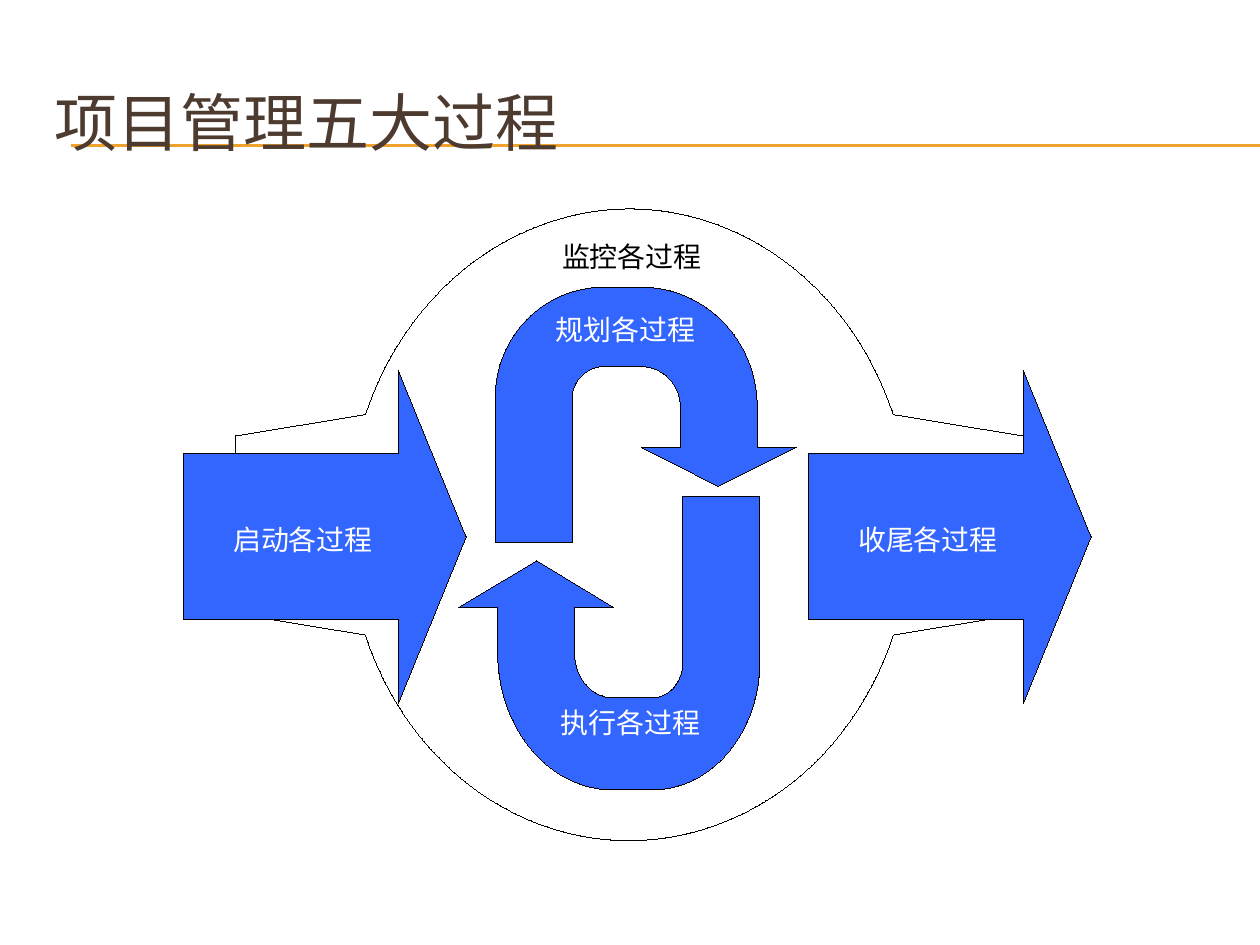
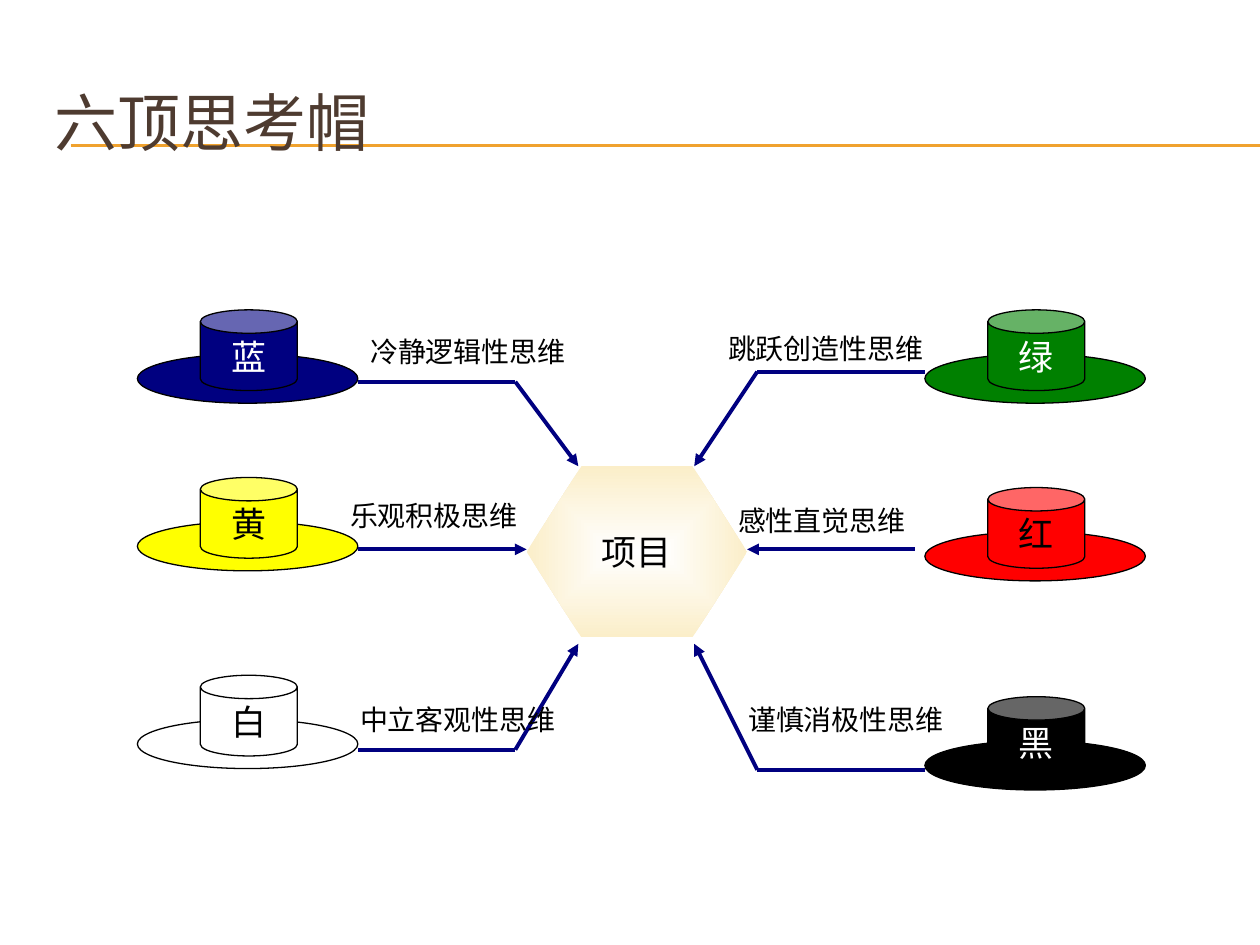
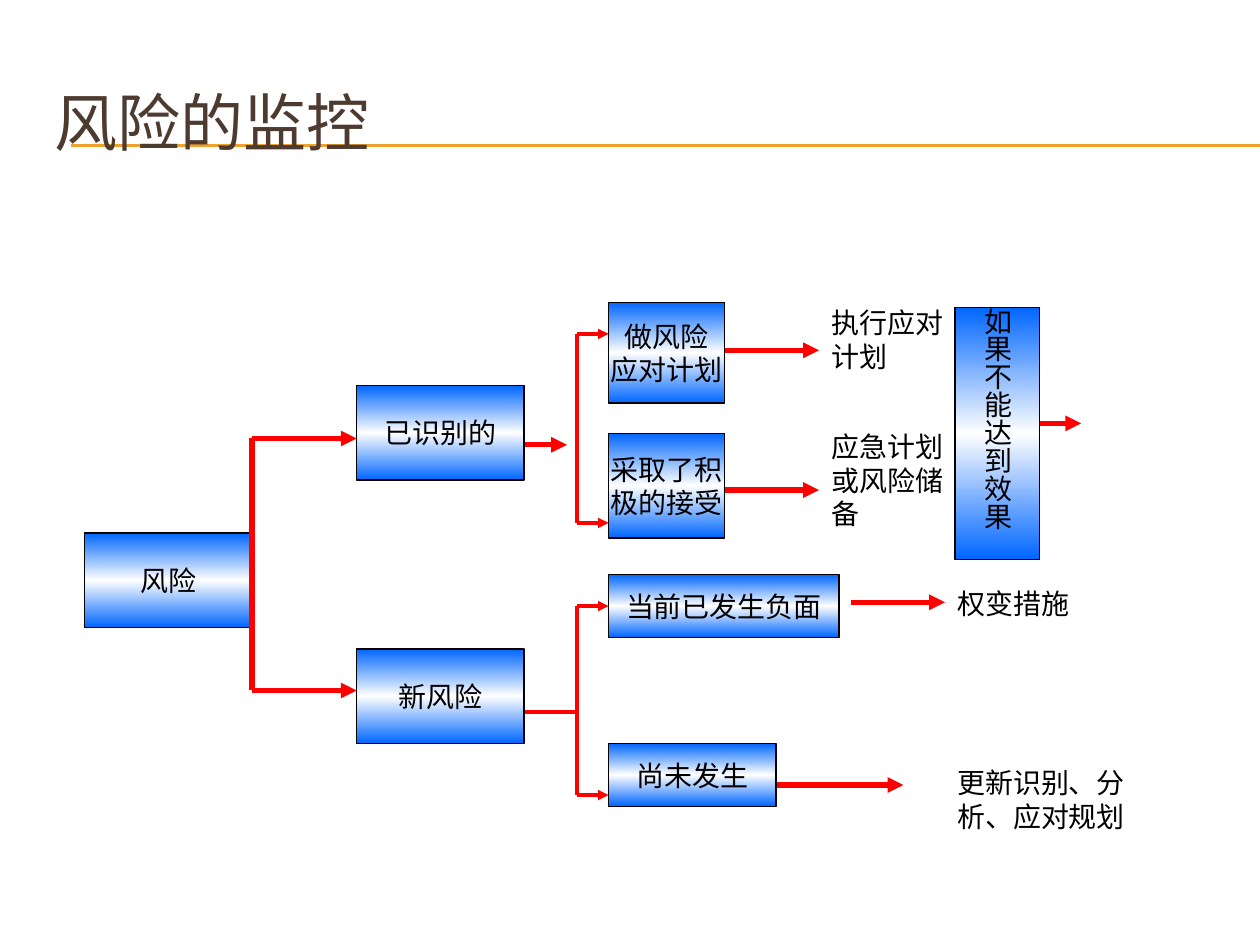
import pptx
import pptx.dml.color
import pptx.enum.shapes
import pptx.enum.text
import pptx.oxml
import pptx.oxml.ns
import pptx.util

WIDTH, HEIGHT = pptx.util.Inches(10), pptx.util.Inches(7.5)
CELL = WIDTH / 10  # square grid of 10 columns and 7.5 rows
TITLE_LAYOUT = 5

BROWN, ORANGE = "4E3B30", "F0A22E"
BLACK, WHITE = "000000", "FFFFFF"
BLUE, NAVY, RED = "3366FF", "000080", "FF0000"

SHAPES = pptx.enum.shapes.MSO_SHAPE
ALIGN = pptx.enum.text.PP_ALIGN
ANCHOR = pptx.enum.text.MSO_ANCHOR
qn = pptx.oxml.ns.qn
DRAWING = pptx.oxml.ns.nsdecls("a")


# Basic helpers
def colour(hex_text):
    return pptx.dml.color.RGBColor.from_string(hex_text)


def cells(*values):
    return [round(value * CELL) for value in values]


def write(box, text, size=16, font="Arial", ink=BLACK, align=ALIGN.CENTER,
          anchor=ANCHOR.MIDDLE, wrap=True, margins=(0, 0)):
    """Fill a box with text, one paragraph for each line."""
    frame = box.text_frame
    frame.auto_size = pptx.enum.text.MSO_AUTO_SIZE.NONE
    frame.word_wrap = wrap
    frame.vertical_anchor = anchor
    frame.margin_left = frame.margin_right = cells(margins[0])[0]
    frame.margin_top = frame.margin_bottom = cells(margins[1])[0]
    for index, line in enumerate(text.split("\n")):
        para = frame.add_paragraph() if index else frame.paragraphs[0]
        para.alignment = align
        span = para.add_run()
        span.text = line
        span.font.size = pptx.util.Pt(size)
        span.font.name = font
        span.font.color.rgb = colour(ink)
    # Chinese text takes its typeface from the East Asian setting
    for latin in list(box.element.iter(qn("a:latin"))):
        latin.addnext(pptx.oxml.parse_xml(f'<a:ea {DRAWING} typeface="{font}"/>'))


def label(page, text, left, top, width, height, **style):
    box = page.shapes.add_textbox(*cells(left, top, width, height))
    write(box, text, anchor=ANCHOR.TOP, **style)


def paint(shape, fill=None, edge=None, weight=0.75):
    shape.shadow.inherit = False
    if fill:
        shape.fill.solid()
        shape.fill.fore_color.rgb = colour(fill)
    else:
        shape.fill.background()
    if edge:
        shape.line.color.rgb = colour(edge)
        # A hairline needs its zero width written out
        shape.element.spPr.find(qn("a:ln")).set("w", str(pptx.util.Pt(weight)))
    else:
        shape.line.fill.background()


def preset(page, kind, left, top, width, height, text="", fill=None, edge=BLACK,
           weight=0.75, adjust=(), **style):
    shape = page.shapes.add_shape(kind, *cells(left, top, width, height))
    for index, value in enumerate(adjust):
        shape.adjustments[index] = value
    paint(shape, fill, edge, weight)
    if text:
        write(shape, text, **style)
    return shape


def gradient(shape, stops, direction):
    """Replace the empty fill of a shape with a gradient."""
    marks = "".join(f'<a:gs pos="{share * 1000}"><a:srgbClr val="{tone}"/></a:gs>'
                    for share, tone in stops)
    fill = pptx.oxml.parse_xml(f'<a:gradFill {DRAWING} rotWithShape="1">'
                               f'<a:gsLst>{marks}</a:gsLst>{direction}</a:gradFill>')
    properties = shape.element.spPr
    properties.replace(properties.find(qn("a:noFill")), fill)


def connect(page, start, end, ink, weight, arrow=False):
    line = page.shapes.add_connector(
        pptx.enum.shapes.MSO_CONNECTOR.STRAIGHT, *cells(*start, *end))
    line.line.color.rgb = colour(ink)
    line.line.width = pptx.util.Pt(weight)
    properties = line.element.spPr
    if arrow:
        properties.find(qn("a:ln")).append(
            pptx.oxml.parse_xml(f'<a:tailEnd {DRAWING} type="triangle"/>'))
    properties.append(pptx.oxml.parse_xml(f'<a:effectLst {DRAWING}/>'))
    return line


def route(page, points, ink, weight):
    """Join points with lines; the last one carries an arrowhead."""
    for index in range(len(points) - 1):
        connect(page, points[index], points[index + 1], ink, weight,
                arrow=index == len(points) - 2)


def fork(page, left, right, top, bottom, weight):
    """Draw a trunk with an arrow at each end and return both arrows."""
    connect(page, (left, top), (left, bottom), RED, weight)
    return [connect(page, (left, row), (right, row), RED, weight, arrow=True)
            for row in (top, bottom)]


def trace(steps, pieces=24):
    """Turn points and cubic curves (six numbers) into a list of points."""
    points = []
    for step in steps:
        if len(step) == 2:
            points.append(step)
            continue
        corners = [points[-1], step[:2], step[2:4], step[4:]]
        for piece in range(1, pieces + 1):
            t = piece / pieces
            shares = ((1 - t) ** 3, 3 * t * (1 - t) ** 2, 3 * t * t * (1 - t), t ** 3)
            points.append(tuple(sum(share * corner[axis]
                                    for share, corner in zip(shares, corners))
                                for axis in (0, 1)))
    return points


def outline(page, steps, fill):
    """Build a closed outline: its bounds come from the trace, its path from the steps."""
    corners = [cells(*point) for point in trace(steps)]
    builder = page.shapes.build_freeform(*corners[0], scale=1.0)
    builder.add_line_segments(corners[1:], close=True)
    shape = builder.convert_to_shape()
    paint(shape, fill, BLACK, 0)

    path = shape.element.find(".//" + qn("a:path"))
    for segment in list(path):
        path.remove(segment)
    for index, step in enumerate(steps):
        numbers = cells(*step)
        kind = "moveTo" if not index else "lnTo" if len(step) == 2 else "cubicBezTo"
        marks = "".join(f'<a:pt x="{x - shape.left}" y="{y - shape.top}"/>'
                        for x, y in zip(numbers[::2], numbers[1::2]))
        path.append(pptx.oxml.parse_xml(f'<a:{kind} {DRAWING}>{marks}</a:{kind}>'))
    path.append(pptx.oxml.parse_xml(f'<a:close {DRAWING}/>'))


def titled_page(deck, text):
    page = deck.slides.add_slide(deck.slide_layouts[TITLE_LAYOUT])
    title = page.shapes.title
    title.left, title.top, title.width, title.height = cells(0.33, 0.5, 9.5, 0.92)
    write(title, text, size=36, font="Roboto", ink=BROWN, align=ALIGN.LEFT,
          margins=(0.1, 0.05))
    for row in (1.15, 1.16):
        rule = connect(page, (0.56, row), (10, row), ORANGE, 0.75)
        title.element.addprevious(rule.element)
    return page


# Slide 1: the five process groups
def turned(step, across=9.99, down=8.33):
    """Rotate a step by half a turn about the centre of the ring."""
    return tuple((down if index % 2 else across) - value
                 for index, value in enumerate(step))


def process_page(deck):
    page = titled_page(deck, "项目管理五大过程")

    # Monitoring ring: the lower half is the upper half turned around
    half = [(7.09, 3.29), (6.66, 1.99, 5.37, 1.33, 4.21, 1.82),
            (3.61, 2.07, 3.13, 2.6, 2.9, 3.29), (1.87, 3.46), (1.87, 4.87)]
    outline(page, half + [turned(step) for step in half], WHITE)

    # Starting and closing arrows
    for left in (1.46, 6.42):
        preset(page, SHAPES.RIGHT_ARROW, left, 2.94, 2.24, 2.64, fill=BLUE,
               weight=0, adjust=(0.5, 0.24))

    # Executing and planning turns
    outline(page, [
        (5.17, 5.54), (5.31, 5.54, 5.42, 5.41, 5.42, 5.25), (5.42, 3.94), (6.03, 3.94),
        (6.03, 5.25), (6.03, 5.81, 5.65, 6.27, 5.17, 6.27), (4.87, 6.27),
        (4.36, 6.27, 3.95, 5.78, 3.95, 5.18), (3.95, 4.82), (3.64, 4.82), (4.26, 4.45),
        (4.87, 4.82), (4.56, 4.82), (4.56, 5.18), (4.56, 5.38, 4.7, 5.54, 4.87, 5.54)], BLUE)
    outline(page, [
        (4.79, 2.91), (4.65, 2.91, 4.54, 3.03, 4.54, 3.16), (4.54, 4.31), (3.93, 4.31),
        (3.93, 3.16), (3.93, 2.67, 4.31, 2.28, 4.79, 2.28), (5.09, 2.28),
        (5.6, 2.28, 6.01, 2.7, 6.01, 3.23), (6.01, 3.55), (6.32, 3.55), (5.7, 3.86),
        (5.09, 3.55), (5.4, 3.55), (5.4, 3.23), (5.4, 3.05, 5.26, 2.91, 5.09, 2.91)], BLUE)

    for text, left, top, ink in (
            ("启动各过程", 1.85, 4.15, WHITE), ("收尾各过程", 6.81, 4.15, WHITE),
            ("规划各过程", 4.41, 2.48, WHITE), ("执行各过程", 4.45, 5.6, WHITE),
            ("监控各过程", 4.46, 1.9, BLACK)):
        label(page, text, left, top, 1.11, 0.27, font="Noto Sans CJK SC", ink=ink,
              wrap=False)


# Slide 2: the six thinking hats
def hat(page, name, left, top, fill, ink):
    preset(page, SHAPES.OVAL, left, top + 0.35, 1.75, 0.39, fill=fill)
    preset(page, SHAPES.CAN, left + 0.5, top, 0.77, 0.64, name, fill=fill,
           adjust=(0.29,), size=20, ink=ink)


def hats_page(deck):
    page = titled_page(deck, "六顶思考帽")
    left_side, right_side = 1.09, 7.34
    for name, left, top, fill, ink in (
            ("蓝", left_side, 2.46, NAVY, WHITE), ("黄", left_side, 3.79, "FFFF00", BLACK),
            ("白", left_side, 5.36, WHITE, BLACK), ("黑", right_side, 5.53, BLACK, WHITE),
            ("红", right_side, 3.87, RED, BLACK), ("绿", right_side, 2.46, "008000", WHITE)):
        hat(page, name, left, top, fill, ink)

    project = preset(page, SHAPES.HEXAGON, 4.18, 3.7, 1.75, 1.36, "项目", edge=None,
                     adjust=(0.32,), size=20)
    gradient(project, [(0, WHITE), (100, "FBEEC9")],
             '<a:path path="shape"><a:fillToRect l="50000" t="50000" r="50000" b="50000"/></a:path>')

    for points in (
            [(2.84, 3.03), (4.09, 3.03), (4.59, 3.7)],
            [(2.84, 4.36), (4.18, 4.36)],
            [(2.84, 5.95), (4.09, 5.95), (4.59, 5.11)],
            [(7.34, 2.95), (6.01, 2.95), (5.51, 3.7)],
            [(7.26, 4.36), (5.93, 4.36)],
            [(7.34, 6.11), (6.01, 6.11), (5.51, 5.11)]):
        route(page, points, NAVY, 2.25)

    for text, left, top in (
            ("冷静逻辑性思维", 2.84, 2.61), ("乐观积极思维", 2.68, 3.91),
            ("中立客观性思维", 2.76, 5.53), ("跳跃创造性思维", 5.68, 2.58),
            ("感性直觉思维", 5.76, 3.95), ("谨慎消极性思维", 5.84, 5.53)):
        label(page, text, left, top, 2, 0.37, align=ALIGN.LEFT, margins=(0.1, 0.05))


# Slide 3: risk monitoring tree
def risk_box(page, text, left, top, width, height, wrap=False):
    box = preset(page, SHAPES.RECTANGLE, left, top, width, height, text, wrap=wrap)
    gradient(box, [(0, "0066FF"), (50, WHITE), (100, "0066FF")],
             '<a:lin ang="5400000" scaled="1"/>')
    return box


def risk_page(deck):
    page = titled_page(deck, "风险的监控")
    for text, left, top in (("风险", 0.67, 4.23), ("已识别的", 2.83, 3.06),
                            ("新风险", 2.83, 5.15)):
        risk_box(page, text, left, top, 1.33, 0.75)
    risk_box(page, "做风险\n应对计划", 4.83, 2.4, 0.92, 0.8)
    risk_box(page, "采取了积\n极的接受", 4.83, 3.44, 0.92, 0.83)
    occurred = risk_box(page, "当前已发生负面", 4.83, 4.56, 1.83, 0.5)
    risk_box(page, "尚未发生", 4.83, 5.9, 1.33, 0.5)
    failing = risk_box(page, "如果不能达到效果", 7.58, 2.44, 0.67, 2, wrap=True)
    failing.element.find(".//" + qn("a:bodyPr")).set("vert", "eaVert")

    # Branches
    fork(page, 2, 2.83, 3.48, 5.48, 3)
    fork(page, 4.58, 4.83, 2.65, 4.15, 2)
    upper, _ = fork(page, 4.58, 4.83, 4.81, 6.31, 2)
    upper.end_connect(occurred, 1)
    connect(page, (4.17, 5.65), (4.58, 5.65), RED, 2)

    # Arrows to the responses
    for left, right, row in ((5.75, 6.5, 2.78), (4.17, 4.5, 3.53), (5.75, 6.5, 3.89),
                             (6.75, 7.5, 4.78), (6.17, 7.17, 6.23), (8.25, 8.58, 3.36)):
        connect(page, (left, row), (right, row), RED, 3, arrow=True)

    for text, left, top, width, height in (
            ("执行应对计划", 6.5, 2.38, 1.17, 0.64),
            ("应急计划或风险储备", 6.5, 3.36, 1.17, 0.9),
            ("权变措施", 7.5, 4.61, 1.42, 0.37),
            ("更新识别、分析、应对规划", 7.5, 6.03, 1.58, 0.64)):
        label(page, text, left, top, width, height, align=ALIGN.LEFT,
              margins=(0.1, 0.05))


def main():
    deck = pptx.Presentation()
    deck.slide_width, deck.slide_height = WIDTH, HEIGHT
    process_page(deck)
    hats_page(deck)
    risk_page(deck)
    deck.save("out.pptx")


if __name__ == "__main__":
    main()
